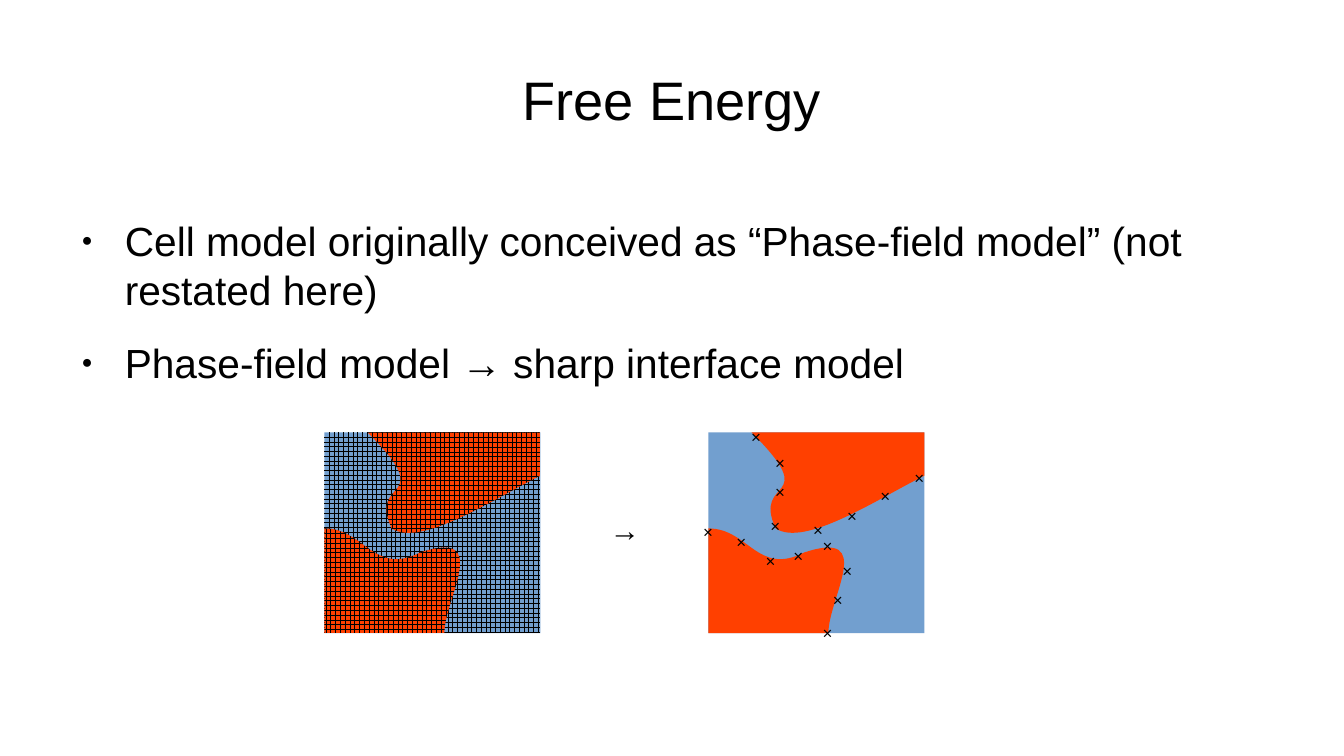
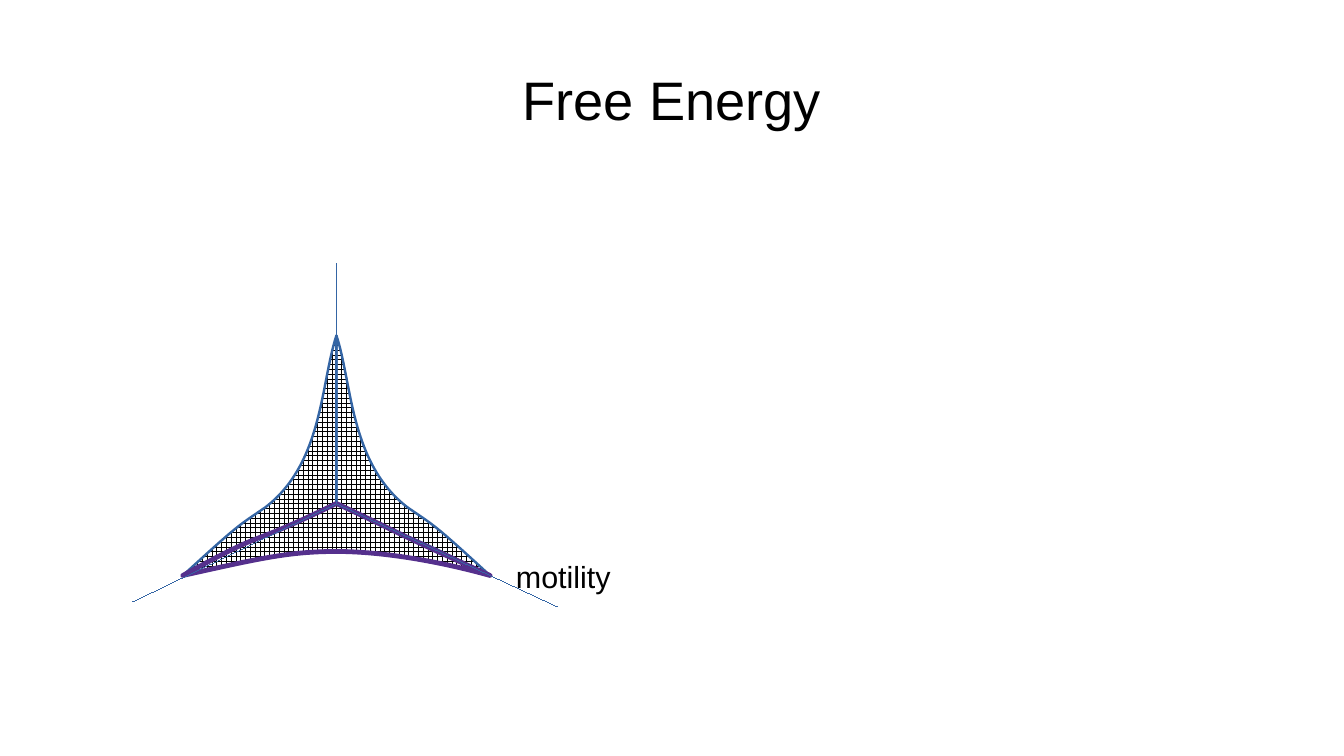
from lxml import etree
from pptx import Presentation
from pptx.dml.color import RGBColor
from pptx.enum import dml, shapes, text
from pptx.oxml import ns
from pptx.util import Cm, Pt

FONT = "Arial"
BLACK = RGBColor(0x00, 0x00, 0x00)
WHITE = RGBColor(0xFF, 0xFF, 0xFF)
FIELD_BLUE = RGBColor(0x72, 0x9F, 0xCF)
CELL_RED = RGBColor(0xFF, 0x40, 0x00)
EDGE_BLUE = RGBColor(0x34, 0x65, 0xA4)
EDGE_PURPLE = RGBColor(0x55, 0x30, 0x8D)

TITLE_AND_BODY, TITLE_ONLY = 1, 5
CURVE_STEPS = 24

# Outlines in cm: a start point, then segments of one point (line)
# or of two control points and an end point (curve).
FIELD_SIZE = (4.5, 4.18)
FIELD_TOP = 9.01
LOWER_CELL = [
    (0, 4.18),
    [(0, 2)],
    [(0.84, 2), (1.02, 3), (2, 2.5)],
    [(3.5, 2), (2.5, 3.45), (2.5, 4.18)],
]
UPPER_CELL = [
    (1.4, 2),
    [(0.9, 0.9), (2.4, 1.5), (0.9, 0)],
    [(4.5, 0)],
    [(4.5, 0.9)],
    [(3.5, 1.4), (2, 2.4), (1.4, 2)],
]
INTERFACE_POINTS = [
    (1, 0.07), (1.5, 0.62), (1.5, 1.21), (1.4, 1.92),
    (2.29, 2.02), (3, 1.72), (3.69, 1.31), (4.4, 0.93),
    (2.49, 4.16), (2.7, 3.47), (2.9, 2.86), (2.49, 2.35),
    (1.88, 2.56), (1.3, 2.66), (0.69, 2.25), (0, 2.05),
]
CROSS_SIZE = (0.72, 0.64)

JUNCTION = (7.01, 10.49)
RIGHT_WING = [
    (3.2, 1.5),
    [(2, 0.4), (2.06, 0.48), (1.48, 0.08)],
    [(0.28, -0.84), (0.33, -2.5), (0, -3.5)],
    [(0, 0)],
    [(2.08, 1), (1.2, 0.5), (3.2, 1.5)],
]
MOTILE_WING = [
    (-3.2, 1.5),
    [(-1.62, 1.15), (-1, 1), (0, 1)],
    [(1, 1), (2.2, 1.22), (3.2, 1.5)],
    [(1, 0.5), (1.62, 0.76), (0, 0)],
    [(-2.05, 1), (-1.25, 0.43), (-3.2, 1.5)],
]
AXIS_ENDS = [(0, -5), (4.6, 2.15), (-4.25, 2.05)]


def write(paragraph, words, size=18, align=None, before=None):
    run = paragraph.add_run()
    run.text = words
    run.font.name = FONT
    run.font.size = Pt(size)
    run.font.color.rgb = BLACK
    paragraph.alignment = align
    if before is not None:
        paragraph.space_before = Pt(before)


def add_bullet(paragraph):
    properties = paragraph._p.get_or_add_pPr()
    properties.set("marL", str(Cm(1.2)))
    properties.set("indent", str(Cm(-0.9)))
    for tag, name, value in (("a:buSzPct", "val", "45000"),
                             ("a:buFont", "typeface", FONT),
                             ("a:buChar", "char", "●")):
        etree.SubElement(properties, ns.qn(tag)).set(name, value)


def place(placeholder, left, top, width, height, anchor):
    placeholder.left, placeholder.top = Cm(left), Cm(top)
    placeholder.width, placeholder.height = Cm(width), Cm(height)
    frame = placeholder.text_frame
    frame.margin_left = frame.margin_right = 0
    frame.margin_top = frame.margin_bottom = 0
    frame.vertical_anchor = anchor
    frame.auto_size = text.MSO_AUTO_SIZE.NONE
    return frame


def add_slide(presentation, layout, title):
    slide = presentation.slides.add_slide(presentation.slide_layouts[layout])
    frame = place(slide.shapes.title, 1.4, 0.63, 25.2, 2.87,
                  text.MSO_ANCHOR.MIDDLE)
    write(frame.paragraphs[0], title, size=32, align=text.PP_ALIGN.CENTER)
    return slide


def add_list(slide, items):
    frame = place(slide.placeholders[1], 1.4, 4.5, 25.2, 8.33,
                  text.MSO_ANCHOR.TOP)
    for index, item in enumerate(items):
        paragraph = frame.add_paragraph() if index else frame.paragraphs[0]
        write(paragraph, item, size=24, before=14.2)
        add_bullet(paragraph)


def add_label(slide, words, left, top, width, height, size=18):
    box = slide.shapes.add_textbox(Cm(left), Cm(top), Cm(width), Cm(height))
    box.text_frame.word_wrap = False
    write(box.text_frame.paragraphs[0], words, size=size)


def paint(shape, color, grid=False, edge=None, edge_width=0):
    shape.shadow.inherit = False
    if grid:
        shape.fill.patterned()
        shape.fill.pattern = dml.MSO_PATTERN.LARGE_GRID
        shape.fill.fore_color.rgb = BLACK
        shape.fill.back_color.rgb = color
    else:
        shape.fill.solid()
        shape.fill.fore_color.rgb = color
    if edge is None:
        shape.line.fill.background()
    else:
        shape.line.color.rgb = edge
        shape.line.width = Pt(edge_width)


def curve_point(corners, t):
    """Point of a cubic Bézier curve at t, from 0 to 1."""
    weights = ((1 - t) ** 3, 3 * t * (1 - t) ** 2, 3 * t ** 2 * (1 - t), t ** 3)
    return tuple(round(sum(w * corner[axis]
                           for w, corner in zip(weights, corners)))
                 for axis in (0, 1))


def trace(start, segments):
    """Points along the outline, from which its extent follows."""
    points = [start]
    for segment in segments:
        if len(segment) == 1:
            points += segment
        else:
            corners = [points[-1], *segment]
            points += [curve_point(corners, step / CURVE_STEPS)
                       for step in range(1, CURVE_STEPS + 1)]
    return points


def set_curves(shape, start, segments):
    """Give the freeform true lines and curves within its extent."""
    outline = shape._element.find(".//" + ns.qn("a:path"))
    for command in list(outline):
        outline.remove(command)
    commands = [("a:moveTo", [start])]
    commands += [("a:lnTo" if len(segment) == 1 else "a:cubicBezTo", segment)
                 for segment in segments]
    for tag, points in commands:
        command = etree.SubElement(outline, ns.qn(tag))
        for x, y in points:
            etree.SubElement(command, ns.qn("a:pt"),
                             x=str(x - shape.left), y=str(y - shape.top))
    etree.SubElement(outline, ns.qn("a:close"))


def add_outline(slide, outline, origin, color, mirror=False, **style):
    side = -1 if mirror else 1

    def locate(point):
        return Cm(origin[0] + side * point[0]), Cm(origin[1] + point[1])

    start = locate(outline[0])
    segments = [[locate(point) for point in segment] for segment in outline[1:]]
    builder = slide.shapes.build_freeform(*start)
    builder.add_line_segments(trace(start, segments)[1:], close=True)
    shape = builder.convert_to_shape()
    set_curves(shape, start, segments)
    paint(shape, color, **style)


def add_axis(slide, start, end):
    axis = slide.shapes.add_connector(
        shapes.MSO_CONNECTOR.STRAIGHT, *(Cm(value) for value in start + end))
    axis.line.color.rgb = EDGE_BLUE
    axis.line._get_or_add_ln().set("w", "0")
    etree.SubElement(axis._element.spPr, ns.qn("a:effectLst"))


def add_cell_field(slide, left, grid):
    field = slide.shapes.add_shape(
        shapes.MSO_SHAPE.RECTANGLE, Cm(left), Cm(FIELD_TOP),
        *(Cm(value) for value in FIELD_SIZE))
    paint(field, FIELD_BLUE, grid=grid)
    for cell in (LOWER_CELL, UPPER_CELL):
        add_outline(slide, cell, (left, FIELD_TOP), CELL_RED, grid=grid)


def add_interface_crosses(slide, left):
    width, height = CROSS_SIZE
    for x, y in INTERFACE_POINTS:
        add_label(slide, "×", left + x - width / 2, FIELD_TOP + y - height / 2,
                  width, height, size=10)


def add_model_slide(presentation):
    slide = add_slide(presentation, TITLE_AND_BODY, "Free Energy")
    add_list(slide, [
        "Cell model originally conceived as “Phase-field model” (not restated here)",
        "Phase-field model → sharp interface model",
    ])
    grid_left, sharp_left = 6.76, 14.76
    add_cell_field(slide, grid_left, grid=True)
    add_cell_field(slide, sharp_left, grid=False)
    add_interface_crosses(slide, sharp_left)
    add_label(slide, "→", 12.45, 10.52, 1.14, 0.97)


def add_motility_slide(presentation):
    slide = add_slide(presentation, TITLE_ONLY, "Free Energy")
    for mirror in (False, True):
        add_outline(slide, RIGHT_WING, JUNCTION, WHITE, mirror=mirror,
                    grid=True, edge=EDGE_BLUE, edge_width=1.42)
    add_outline(slide, MOTILE_WING, JUNCTION, WHITE,
                grid=True, edge=EDGE_PURPLE, edge_width=2.83)
    for x, y in AXIS_ENDS:
        add_axis(slide, (JUNCTION[0] + x, JUNCTION[1] + y), JUNCTION)
    add_label(slide, "motility", 10.5, 11.5, 2.49, 0.97)


def main():
    presentation = Presentation()
    presentation.slide_width = Cm(28)
    presentation.slide_height = Cm(15.75)
    add_model_slide(presentation)
    add_motility_slide(presentation)
    presentation.save("out.pptx")


if __name__ == "__main__":
    main()
